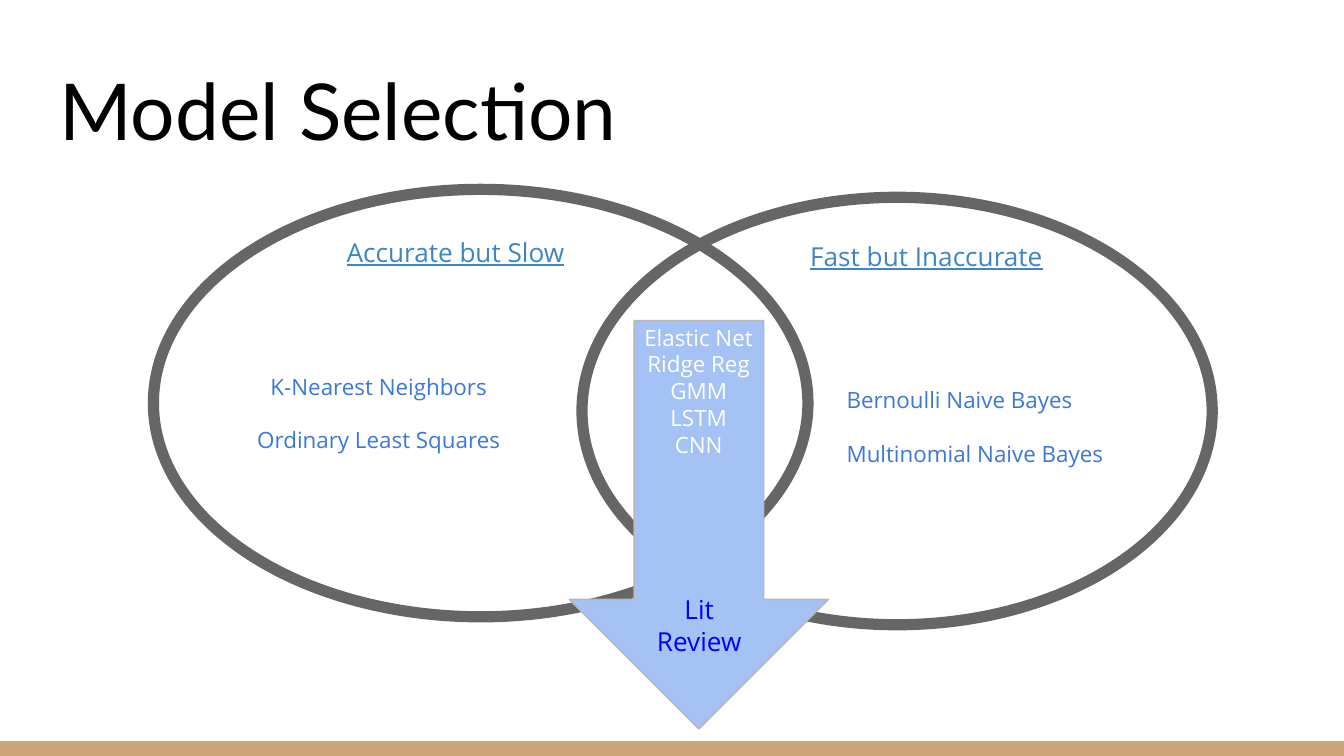
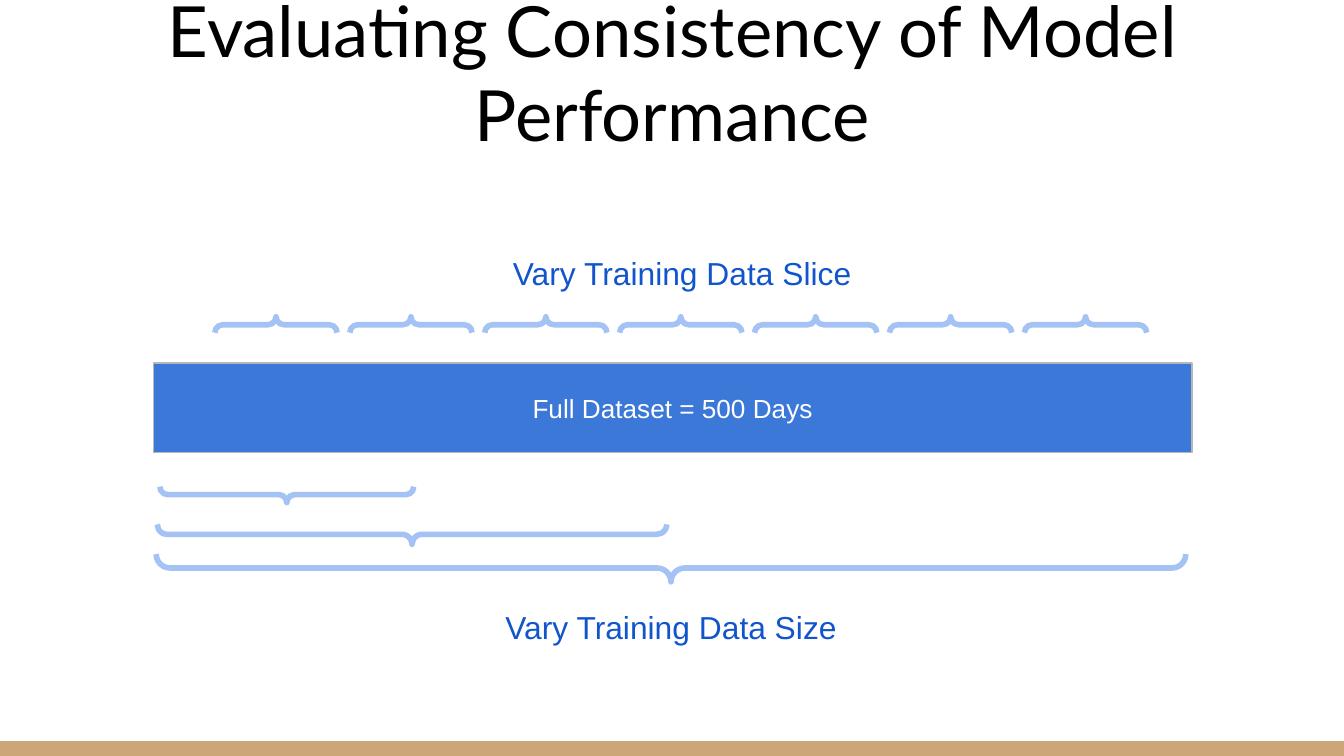
from pptx import Presentation
from pptx.dml.color import RGBColor
from pptx.enum import shapes, text
from pptx.util import Cm, Pt

COLORS = {
    "band": "CCA677",
    "black": "000000",
    "white": "FFFFFF",
    "ring": "666666",
    "heading": "3D85C6",
    "blue": "3C78D8",
    "pale_blue": "A4C2F4",
    "border": "B7B7B7",
    "pure_blue": "0000FF",
    "label": "1155CC",
}
TITLE_FONT, VENN_FONT, CHART_FONT = "Lato", "Open Sans", "Arial"
SLIDE_WIDTH, SLIDE_HEIGHT = 25.4, 14.29
TITLE_BOX = (0.87, 0.89, 23.67, 2.31)
CENTER, LEFT = text.PP_ALIGN.CENTER, text.PP_ALIGN.LEFT
TOP, MIDDLE, BOTTOM = (
    text.MSO_ANCHOR.TOP, text.MSO_ANCHOR.MIDDLE, text.MSO_ANCHOR.BOTTOM)


def color(name):
    """Return the named palette colour."""
    return RGBColor.from_string(COLORS[name])


def offset(box, left, top, width, height):
    """Return a box placed relative to the corner of another box."""
    return box[0] + left, box[1] + top, width, height


def write_text(shape, content, font, size, fill, align=CENTER, anchor=TOP,
               underline=None, gap=0):
    """Write one paragraph per line of content in a single format."""
    frame = shape.text_frame
    frame.word_wrap = True
    frame.auto_size = text.MSO_AUTO_SIZE.NONE
    frame.vertical_anchor = anchor
    frame.margin_left = frame.margin_right = Cm(0.25)
    frame.margin_top = frame.margin_bottom = Cm(0.25)
    for index, line in enumerate(content.split("\n")):
        paragraph = frame.add_paragraph() if index else frame.paragraphs[0]
        paragraph.alignment = align
        if index and gap:
            paragraph.space_before = Pt(gap)
        run = paragraph.add_run()
        run.text = line
        run.font.name = font
        run.font.size = Pt(size)
        run.font.underline = underline
        run.font.color.rgb = color(fill)


def add_label(slide, box, content, **style):
    """Add a text box."""
    write_text(slide.shapes.add_textbox(*map(Cm, box)), content, **style)


def add_figure(slide, kind, box, fill=None, line=None, weight=0.75):
    """Add a flat preset shape."""
    shape = slide.shapes.add_shape(kind, *map(Cm, box))
    shape.shadow.inherit = False
    if fill:
        shape.fill.solid()
        shape.fill.fore_color.rgb = color(fill)
    else:
        shape.fill.background()
    if line:
        shape.line.color.rgb = color(line)
        shape.line.width = Pt(weight)
    else:
        shape.line.fill.background()
    return shape


def add_titled_slide(presentation, title, size, align):
    """Add a slide with the bottom band and a formatted title."""
    slide = presentation.slides.add_slide(presentation.slide_layouts[5])
    add_figure(slide, shapes.MSO_SHAPE.RECTANGLE,
               (0, 14.01, SLIDE_WIDTH, 0.28), fill="band")
    placeholder = slide.shapes.title
    placeholder.left, placeholder.top, placeholder.width, placeholder.height = (
        map(Cm, TITLE_BOX))
    write_text(placeholder, title, font=TITLE_FONT, size=size, fill="black",
               align=align, anchor=BOTTOM)
    return slide


def add_venn_side(slide, box, heading, heading_box, models, models_box, align):
    """Draw one ellipse with its heading and list of models."""
    add_figure(slide, shapes.MSO_SHAPE.OVAL, box, line="ring", weight=6)
    add_label(slide, offset(box, *heading_box), heading, font=VENN_FONT,
              size=14, fill="heading", underline=True)
    add_label(slide, offset(box, *models_box), models, font=VENN_FONT,
              size=12, fill="blue", align=align, anchor=BOTTOM, gap=14.4)


def add_review_arrow(slide, box):
    """Draw the down arrow from the shared models to the review."""
    add_figure(slide, shapes.MSO_SHAPE.DOWN_ARROW, box, fill="pale_blue",
               line="border")
    add_label(slide, offset(box, 0.82, -0.19, 3.25, 3.07),
              "Elastic Net\nRidge Reg\nGMM\nLSTM\nCNN",
              font=VENN_FONT, size=12, fill="white")
    add_label(slide, offset(box, 1.25, 4.91, 2.41, 1.7), "Lit Review",
              font=VENN_FONT, size=14, fill="pure_blue")


def add_brace(slide, box):
    """Draw a brace pair turned so that it opens above and below."""
    left, top, width, height = box
    turn = (width - height) / 2
    brace = add_figure(slide, shapes.MSO_SHAPE.DOUBLE_BRACE,
                       (left + turn, top - turn, height, width),
                       line="pale_blue", weight=3)
    brace.rotation = 90


def add_dataset_bar(slide, box):
    """Draw the dataset bar with slice braces above and size braces below."""
    for index in range(7):
        add_brace(slide, offset(box, 1.16 + 2.55 * index, -0.87, 2.31, 1.8))
    for size_box in ((0.12, 0.84, 4.8, 1.8), (0.07, 1.17, 9.63, 2.26),
                     (0.05, 0.99, 19.46, 3.15)):
        add_brace(slide, offset(box, *size_box))
    bar = add_figure(slide, shapes.MSO_SHAPE.RECTANGLE, box, fill="blue",
                     line="border")
    write_text(bar, "Full Dataset = 500 Days", font=CHART_FONT, size=14,
               fill="white", anchor=MIDDLE)
    for content, left, top in (("Vary Training Data Slice", 5.23, -2.31),
                               ("Vary Training Data Size", 5.02, 4.37)):
        add_label(slide, offset(box, left, top, 9.53, 1.24), content,
                  font=CHART_FONT, size=17, fill="label")


def build_model_selection(presentation):
    """Build the slide that compares the models."""
    slide = add_titled_slide(presentation, "Model Selection", 42, LEFT)
    add_venn_side(slide, (2.9, 3.58, 12.37, 8.08),
                  "Accurate but Slow", (3.07, 0.64, 5.28, 1.12),
                  "K-Nearest Neighbors\nOrdinary Least Squares",
                  (1.49, 3.18, 5.54, 2.06), CENTER)
    add_venn_side(slide, (11, 3.73, 11.91, 8.08),
                  "Fast but Inaccurate", (3.45, 0.56, 6.12, 1.12),
                  "Bernoulli Naive Bayes\nMultinomial Naive Bayes",
                  (4.75, 2.77, 5.84, 2.57), LEFT)
    add_review_arrow(slide, (10.76, 6.06, 4.9, 7.72))


def build_consistency(presentation):
    """Build the slide on varying the training data."""
    slide = add_titled_slide(
        presentation, "Evaluating Consistency of Model Performance", 37.8,
        CENTER)
    add_dataset_bar(slide, (2.9, 6.86, 19.63, 1.7))


def main():
    """Build and save the presentation."""
    presentation = Presentation()
    presentation.slide_width = Cm(SLIDE_WIDTH)
    presentation.slide_height = Cm(SLIDE_HEIGHT)
    build_model_selection(presentation)
    build_consistency(presentation)
    presentation.save("out.pptx")


if __name__ == "__main__":
    main()
